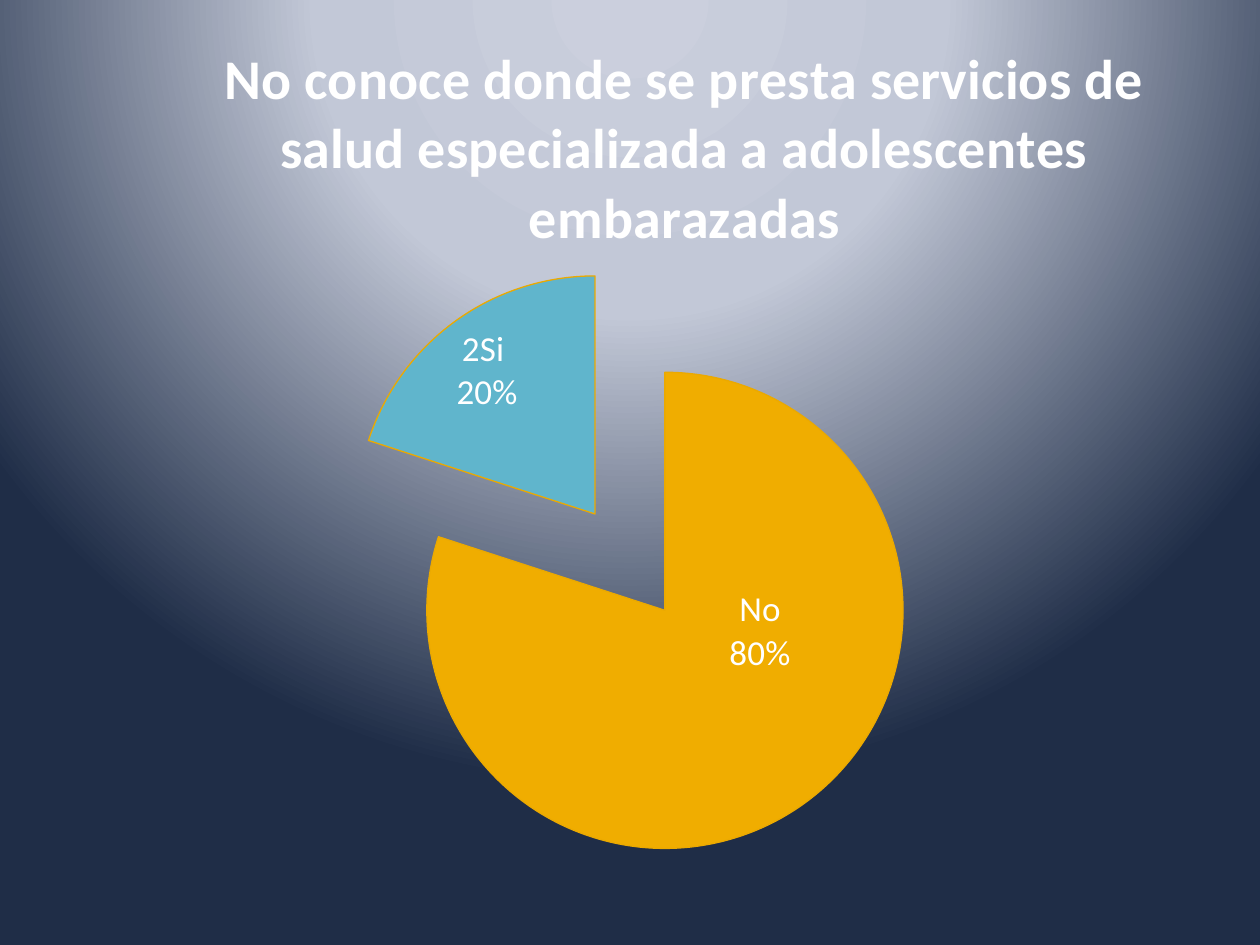
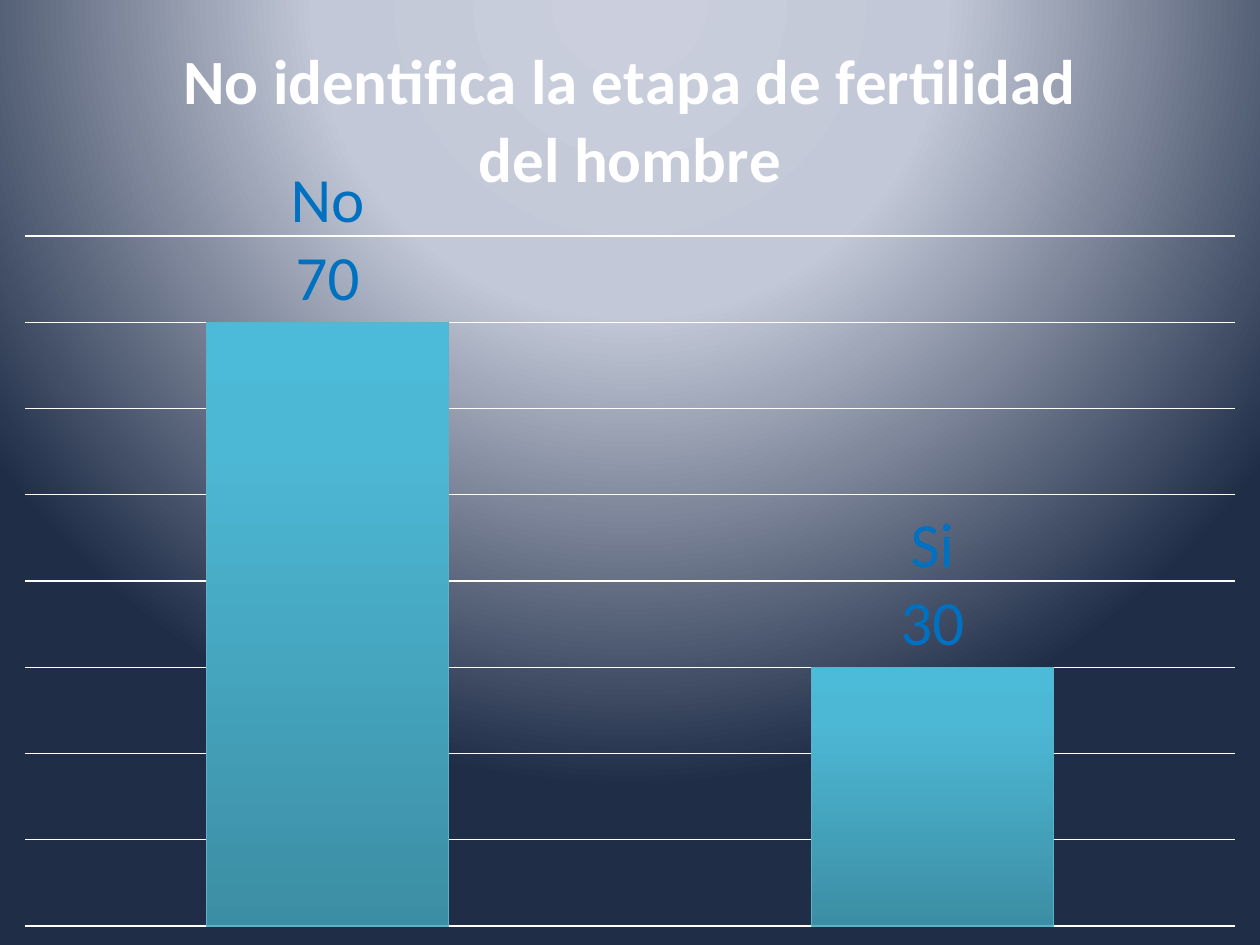
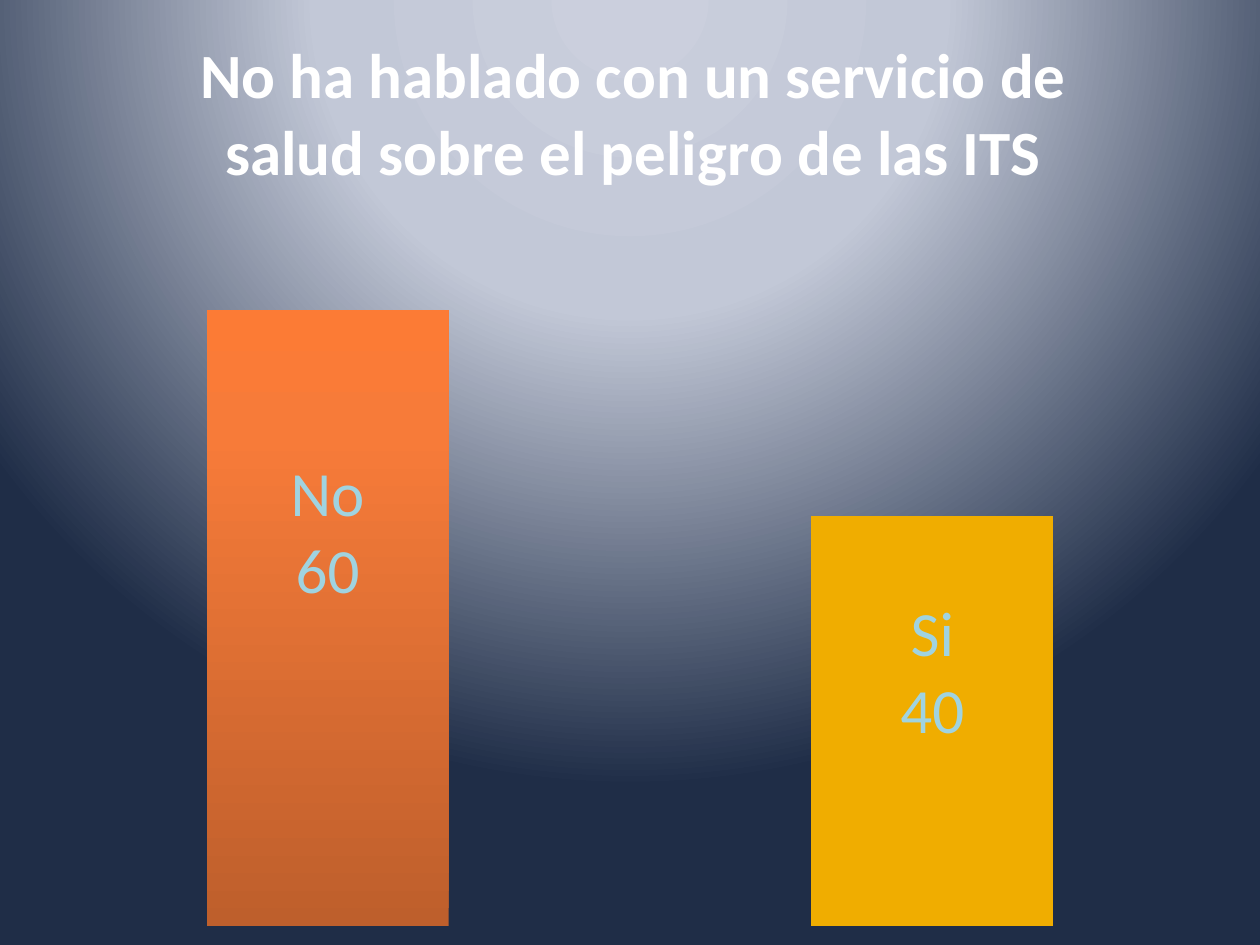
"""Build three survey result slides, each a full-slide chart on a radial gradient."""
from dataclasses import dataclass
from typing import Optional, Union

from pptx import Presentation
from pptx.chart.data import CategoryChartData
from pptx.dml.color import RGBColor
from pptx.enum.chart import XL_CHART_TYPE, XL_LABEL_POSITION
from pptx.oxml import parse_xml
from pptx.oxml.ns import nsdecls
from pptx.util import Inches, Pt

FONT = "Calibri"
WHITE = RGBColor(0xFF, 0xFF, 0xFF)
AMBER = RGBColor(0xF0, 0xAD, 0x00)
DARK_AMBER = RGBColor(0xEB, 0xA9, 0x00)
TEAL = RGBColor(0x60, 0xB5, 0xCC)
TEAL_EDGE = RGBColor(0x5B, 0xB3, 0xCA)
BLUE = RGBColor(0x00, 0x70, 0xC0)
PALE_BLUE = RGBColor(0xA0, 0xD3, 0xE0)


@dataclass(frozen=True)
class Gradient:
    stops: tuple[tuple[int, RGBColor], ...]
    direction: str


UPWARD = '<a:lin ang="16200000" scaled="0"/>'
BACKDROP = Gradient(
    ((0, RGBColor(0xCB, 0xCF, 0xDD)), (40, RGBColor(0xC2, 0xC8, 0xD7)),
     (100, RGBColor(0x1F, 0x2D, 0x47))),
    '<a:path path="circle"><a:fillToRect l="50000" t="-80000" r="50000" b="180000"/></a:path>')
TEAL_FADE = Gradient(
    ((0, RGBColor(0x3C, 0x8E, 0xA4)), (80, RGBColor(0x4D, 0xB8, 0xD5)),
     (100, RGBColor(0x4B, 0xBB, 0xD9))), UPWARD)
ORANGE_FADE = Gradient(
    ((0, RGBColor(0xBE, 0x5F, 0x2C)), (80, RGBColor(0xF7, 0x7B, 0x39)),
     (100, RGBColor(0xFC, 0x7B, 0x35))), UPWARD)


@dataclass(frozen=True)
class Answer:
    label: str
    value: int
    fill: Union[RGBColor, Gradient]
    label_shift: Optional[tuple[float, float]] = None


@dataclass(frozen=True)
class Question:
    title: str
    title_size: int
    kind: XL_CHART_TYPE
    answers: tuple[Answer, ...]
    plot_area: tuple[float, float, float, float]
    label_size: int
    label_color: RGBColor
    label_position: XL_LABEL_POSITION
    edge: Optional[RGBColor] = None
    title_at: Optional[tuple[float, float]] = None
    axis_max: int = 0
    gridlines: bool = False
    explosion: int = 0


QUESTIONS = (
    Question(
        "No conoce donde se presta servicios de salud especializada a adolescentes embarazadas",
        32, XL_CHART_TYPE.PIE,
        (Answer("No\n80%", 80, AMBER, (0.02, -0.08)),
         Answer("2Si \n20%", 20, TEAL, (-0.03, -0.05))),
        (0.26, 0.28, 0.48, 0.63), 20, WHITE, XL_LABEL_POSITION.CENTER,
        edge=DARK_AMBER, title_at=(0.17, 0.03), explosion=25),
    Question(
        "No identifica la etapa de fertilidad del hombre",
        36, XL_CHART_TYPE.COLUMN_CLUSTERED,
        (Answer("No\n70", 70, TEAL_FADE), Answer("Si\n30", 30, TEAL_FADE)),
        (0.02, 0.25, 0.96, 0.73), 36, BLUE, XL_LABEL_POSITION.OUTSIDE_END,
        edge=TEAL_EDGE, axis_max=80, gridlines=True),
    Question(
        "No ha hablado con un servicio de salud sobre el peligro de las ITS",
        36, XL_CHART_TYPE.COLUMN_CLUSTERED,
        (Answer("No\n60", 60, ORANGE_FADE, (0, -0.09)),
         Answer("Si\n40", 40, AMBER, (0, -0.05))),
        (0.02, 0.22, 0.96, 0.76), 36, PALE_BLUE, XL_LABEL_POSITION.CENTER,
        title_at=(0.15, 0.02), axis_max=70),
)


def paint(fill, root, query: str, paint_with: Union[RGBColor, Gradient]) -> None:
    fill.solid()
    if isinstance(paint_with, RGBColor):
        fill.fore_color.rgb = paint_with
        return
    stops = "".join(f'<a:gs pos="{pos * 1000}"><a:srgbClr val="{color}"/></a:gs>'
                    for pos, color in paint_with.stops)
    solid = root.xpath(query)[0]
    solid.getparent().replace(solid, parse_xml(
        f'<a:gradFill {nsdecls("a")} rotWithShape="1"><a:gsLst>{stops}</a:gsLst>'
        f'{paint_with.direction}</a:gradFill>'))


def set_layout(parent, index: int, shares: tuple[float, ...], modes: str = "") -> None:
    for old in parent.xpath("c:layout"):
        parent.remove(old)
    sizes = "".join(f'<c:{name} val="{share}"/>' for name, share in zip("xywh", shares))
    parent.insert(index, parse_xml(
        f'<c:layout {nsdecls("c")}><c:manualLayout>{modes}{sizes}</c:manualLayout></c:layout>'))


def style_title(chart, question: Question) -> None:
    tf = chart.chart_title.text_frame
    tf.text = question.title
    font = tf.paragraphs[0].font
    font.name, font.size, font.bold = FONT, Pt(question.title_size), True
    font.color.rgb = WHITE
    if question.title_at:
        set_layout(chart.element.xpath("c:chart/c:title")[0], 1, question.title_at,
                   '<c:xMode val="edge"/><c:yMode val="edge"/>')


def style_axes(chart, question: Question) -> None:
    axis = chart.value_axis
    axis.minimum_scale, axis.maximum_scale, axis.major_unit = 0, question.axis_max, 10
    axis.has_major_gridlines = question.gridlines
    if question.gridlines:
        line = axis.major_gridlines.format.line
        line.color.rgb, line.width = WHITE, Pt(0.75)
    axis.visible = chart.category_axis.visible = False
    chart.plots[0].gap_width = 150


def style_label(label, answer: Answer, question: Question) -> None:
    tf = label.text_frame
    tf.text = answer.label
    for p in tf.paragraphs:
        for r in p.runs:
            r.font.name, r.font.size = FONT, Pt(question.label_size)
            r.font.color.rgb = question.label_color
    label.position = question.label_position


def style_answers(chart, question: Question) -> None:
    root = chart.element
    series = chart.plots[0].series[0]
    labels = series.data_labels
    is_pie = question.kind == XL_CHART_TYPE.PIE
    labels.show_value = not is_pie
    labels.show_percentage = labels.show_category_name = is_pie
    labels.font.name, labels.font.size = FONT, Pt(question.label_size)
    labels.font.color.rgb = question.label_color
    labels.position = question.label_position
    for leader in root.xpath(".//c:showLeaderLines"):
        leader.set("val", "0")
    for i, answer in enumerate(question.answers):
        point = series.points[i]
        paint(point.format.fill, root,
              f'.//c:dPt[c:idx/@val="{i}"]/c:spPr/a:solidFill', answer.fill)
        line = point.format.line
        if question.edge:
            line.color.rgb, line.width = question.edge, Pt(0.75)
        else:
            line.fill.background()
        style_label(point.data_label, answer, question)
        if answer.label_shift:
            set_layout(root.xpath(f'.//c:dLbl[c:idx/@val="{i}"]')[0], 1, answer.label_shift)
    if question.explosion:
        series.format.fill.solid()
        series.format.fill.fore_color.rgb = AMBER
        root.xpath(".//c:ser/c:spPr")[0].addnext(parse_xml(
            f'<c:explosion {nsdecls("c")} val="{question.explosion}"/>'))


def add_question(prs, question: Question) -> None:
    s = prs.slides.add_slide(prs.slide_layouts[6])
    paint(s.background.fill, s.element, ".//p:bgPr/a:solidFill", BACKDROP)
    data = CategoryChartData()
    data.categories = [str(n + 1) for n in range(len(question.answers))]
    data.add_series("Series 1", [answer.value for answer in question.answers])
    chart = s.shapes.add_chart(
        question.kind, 0, 0, prs.slide_width, prs.slide_height, data).chart
    chart.font.name, chart.font.size = FONT, Pt(10)
    chart.font.color.rgb = WHITE
    chart.has_legend = False
    chart.plots[0].vary_by_categories = False
    style_title(chart, question)
    if question.axis_max:
        style_axes(chart, question)
    style_answers(chart, question)
    set_layout(chart.element.xpath("c:chart/c:plotArea")[0], 0, question.plot_area,
               '<c:layoutTarget val="inner"/><c:xMode val="edge"/><c:yMode val="edge"/>')


def main() -> None:
    prs = Presentation()
    prs.slide_width, prs.slide_height = Inches(10), Inches(7.5)
    for question in QUESTIONS:
        add_question(prs, question)
    prs.save("out.pptx")


if __name__ == "__main__":
    main()
